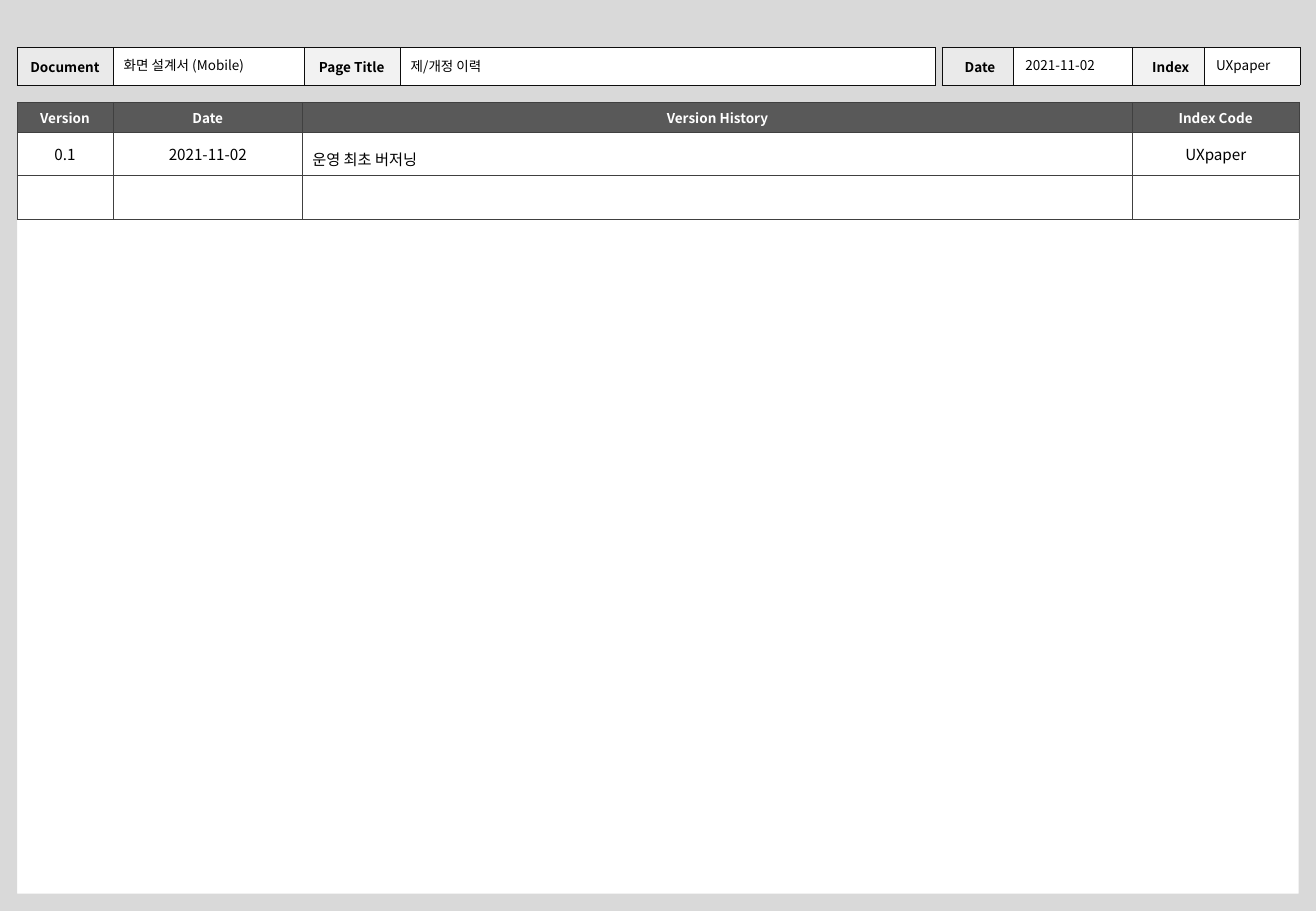
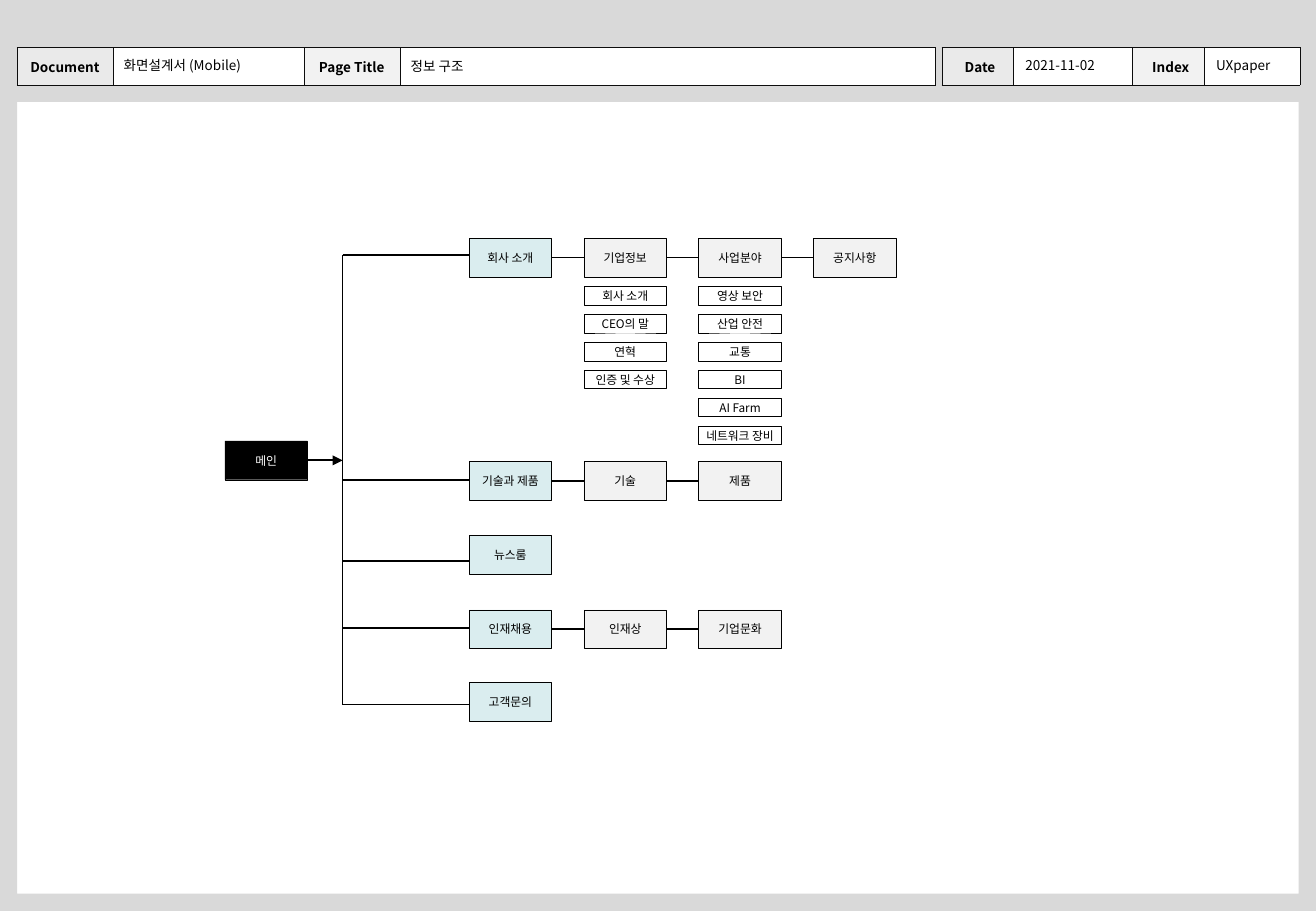
from lxml.etree import SubElement
from pptx import Presentation
from pptx.dml.color import RGBColor
from pptx.enum.shapes import MSO_CONNECTOR, MSO_SHAPE
from pptx.enum.text import MSO_ANCHOR, MSO_AUTO_SIZE, PP_ALIGN
from pptx.oxml.ns import qn
from pptx.util import Inches, Pt

FONT = "Noto Sans CJK KR"
HUES = {
    "black": "000000", "white": "FFFFFF", "band": "D9D9D9", "label": "EAEAEA",
    "pale": "F2F2F2", "head": "595959", "edge": "0D0D0D", "rule": "404040",
    "aqua": "DAEDEF",
}
W, H = 10.83, 7.5
EDGE, TOP = 0.14, 0.84

deck = Presentation()
deck.slide_width, deck.slide_height = Inches(W), Inches(H)
plain = deck.slide_layouts[5]


def write(box, text, size=8, hue="black", bold=False, align=PP_ALIGN.CENTER,
          pad=(0.04, 0, 0.04, 0), lead=None):
    box.margin_left, box.margin_top, box.margin_right, box.margin_bottom = map(Inches, pad)
    box.vertical_anchor = MSO_ANCHOR.MIDDLE
    frame = getattr(box, "text_frame", box)
    frame.word_wrap = True
    para = frame.paragraphs[0]
    para.alignment = align
    if lead:
        para.line_spacing = lead
    if not text:
        para._p.get_or_add_endParaRPr().set("sz", str(size * 100))
        return
    run = para.add_run()
    run.text = text
    font = run.font
    font.name, font.size, font.bold = FONT, Pt(size), bold
    font.color.rgb = RGBColor.from_string(HUES[hue])
    SubElement(run._r.rPr, qn("a:ea")).set("typeface", FONT)


def grid(page, left, top, cols, rows, cells, line):
    table = page.shapes.add_table(len(rows), len(cols), Inches(left), Inches(top),
                                  Inches(sum(cols)), Inches(sum(rows))).table
    table.first_row = table.horz_banding = False
    for col, wide in zip(table.columns, cols):
        col.width = Inches(wide)
    for row, tall in zip(table.rows, rows):
        row.height = Inches(tall)
    for cell, (text, fill, style) in zip(table.iter_cells(), cells):
        write(cell, text, **style)
        cell.fill.solid()
        cell.fill.fore_color.rgb = RGBColor.from_string(HUES[fill])
        props = cell._tc.get_or_add_tcPr()
        for spot, side in enumerate(("lnL", "lnR", "lnT", "lnB")):
            edge = SubElement(props, qn("a:" + side), w=str(Pt(0.25)))
            paint = SubElement(edge, qn("a:solidFill"))
            SubElement(paint, qn("a:srgbClr"), val=HUES[line])
            props.insert(spot, edge)


first, second = [deck.slides.add_slide(plain) for _ in range(2)]

for kind, tall in ((MSO_SHAPE.RECTANGLE, TOP), (MSO_SHAPE.FRAME, H)):
    band = first.shapes.add_shape(kind, 0, 0, Inches(W), Inches(tall))
    if kind == MSO_SHAPE.FRAME:
        band.adjustments[0] = 0.019
    band.shadow.inherit = False
    band.fill.solid()
    band.fill.fore_color.rgb = RGBColor.from_string(HUES["band"])
    band.line.fill.background()
for left, cols, names in (
    (EDGE, (0.79, 1.57, 0.79, 4.41), ("Document", "Page Title")),
    (7.75, (0.59, 0.98, 0.59, 0.79), ("Date", "Index")),
):
    cells = []
    for name, fill in zip(names, ("label", "pale")):
        pad = (0.04, 0.04, 0.04, 0.04) if left == EDGE else (0.04, 0, 0, 0)
        cells += [(name, fill, dict(bold=True, pad=pad)), ("", "white", {})]
    grid(first, left, 0.39, cols, (0.31,), cells, "edge")
for mark, item in enumerate(list(first.shapes)[1:], 50):
    item._element.xpath(".//p:cNvPr")[0].set("id", str(mark))
    plain.shapes._spTree.append(item._element)

for page, name, title in ((first, "화면 설계서 (Mobile)", "제/개정 이력"),
                          (second, "화면설계서 (Mobile)", "정보 구조")):
    for text, left, wide in ((title, 3.28, 4.38), (name, 0.92, 1.53),
                             ("2021-11-02", 8.34, 0.96), ("UXpaper", 9.91, 0.76)):
        spot = [Inches(n) for n in (left, 0.44, wide, 0.2)]
        if text == title:
            box = page.shapes.title
            box.left, box.top, box.width, box.height = spot
        else:
            box = page.shapes.add_textbox(*spot)
        box.text_frame.auto_size = MSO_AUTO_SIZE.NONE
        write(box.text_frame, text, align=PP_ALIGN.LEFT, pad=(0.1, 0, 0.1, 0))

pad = (0.08, 0.04, 0.08, 0.04)
heads = ("Version", "Date", "Version History", "Index Code")
cells = [(text, "head", dict(hue="white", bold=True, pad=pad)) for text in heads]
for text in ("0.1", "2021-11-02", "운영 최초 버저닝", "UXpaper"):
    style = dict(size=9, pad=pad)
    if text.startswith("운영"):
        style.update(align=PP_ALIGN.LEFT, lead=1.5)
    cells.append((text, "white", style))
cells += [("", "white", dict(size=9, pad=pad))] * 4
grid(first, EDGE, TOP, (0.79, 1.56, 6.83, 1.37), (0.25, 0.35, 0.36), cells, "rule")

WIDE, TALL, STEP = 0.68, 0.32, 0.945
LEFT, TRUNK, HOME = 3.86, 2.82, 1.85
SUBTOP, SUBSTEP = 2.36, 0.23
rows = (
    (1.96, 2.1, ("회사 소개", "기업정보", "사업분야", "공지사항")),
    (3.8, 3.95, ("기술과 제품", "기술", "제품")),
    (4.41, 4.62, ("뉴스룸",)),
    (5.02, 5.17, ("인재채용", "인재상", "기업문화")),
    (5.62, 5.8, ("고객문의",)),
)
subs = {
    1: ("회사 소개", "CEO의 말", "연혁", "인증 및 수상"),
    2: ("영상 보안", "산업 안전", "교통", "BI", "AI Farm", "네트워크 장비"),
}
nodes = [("메인", HOME, 3.63, TALL, "black", "white")]
lines = [(HOME + WIDE, 3.79, TRUNK, 3.79), (TRUNK, rows[0][1], TRUNK, rows[-1][1])]
for top, join, names in rows:
    lines.append((TRUNK, join, LEFT, join))
    for col, name in enumerate(names):
        left, mid = LEFT + col * STEP, top + TALL / 2
        nodes.append((name, left, top, TALL, "pale" if col else "aqua", "black"))
        if col:
            lines.append((left - STEP + WIDE, mid, left, mid))
for col, names in subs.items():
    for row, name in enumerate(names):
        nodes.append((name, LEFT + col * STEP, SUBTOP + row * SUBSTEP, 0.15, "white", "black"))

for text, left, top, tall, fill, hue in nodes:
    node = second.shapes.add_shape(MSO_SHAPE.RECTANGLE, Inches(left), Inches(top),
                                   Inches(WIDE), Inches(tall))
    node.shadow.inherit = False
    node.fill.solid()
    node.fill.fore_color.rgb = RGBColor.from_string(HUES[fill])
    node.line.color.rgb = RGBColor.from_string(HUES["black"])
    node.line.width = Pt(0.25)
    write(node.text_frame, text, size=7, hue=hue)

for order, ends in enumerate(lines):
    link = second.shapes.add_connector(MSO_CONNECTOR.STRAIGHT, *map(Inches, ends))
    link.line.color.rgb = RGBColor.from_string(HUES["black"])
    link.line.width = Pt(1)
    if order == 0:
        SubElement(link.line._get_or_add_ln(), qn("a:tailEnd"), type="triangle")
    SubElement(link._element.spPr, qn("a:effectLst"))

deck.save("out.pptx")
